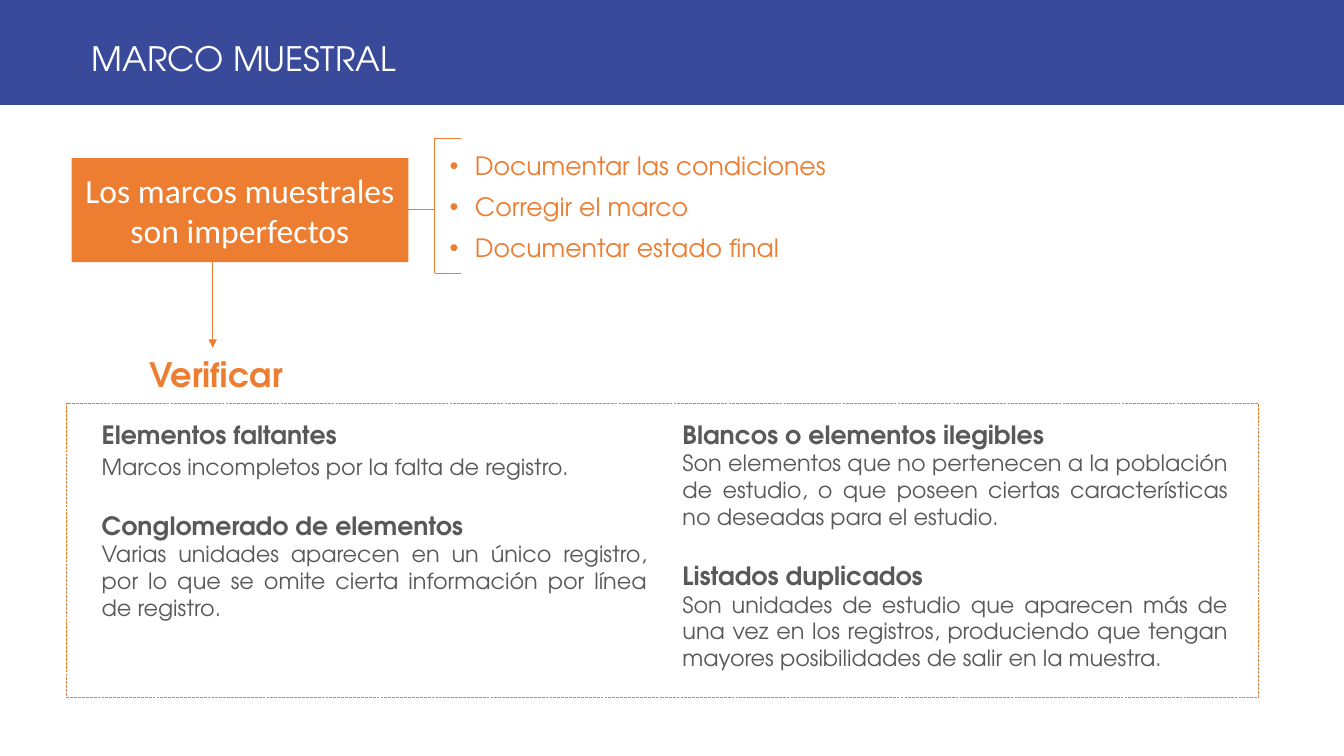
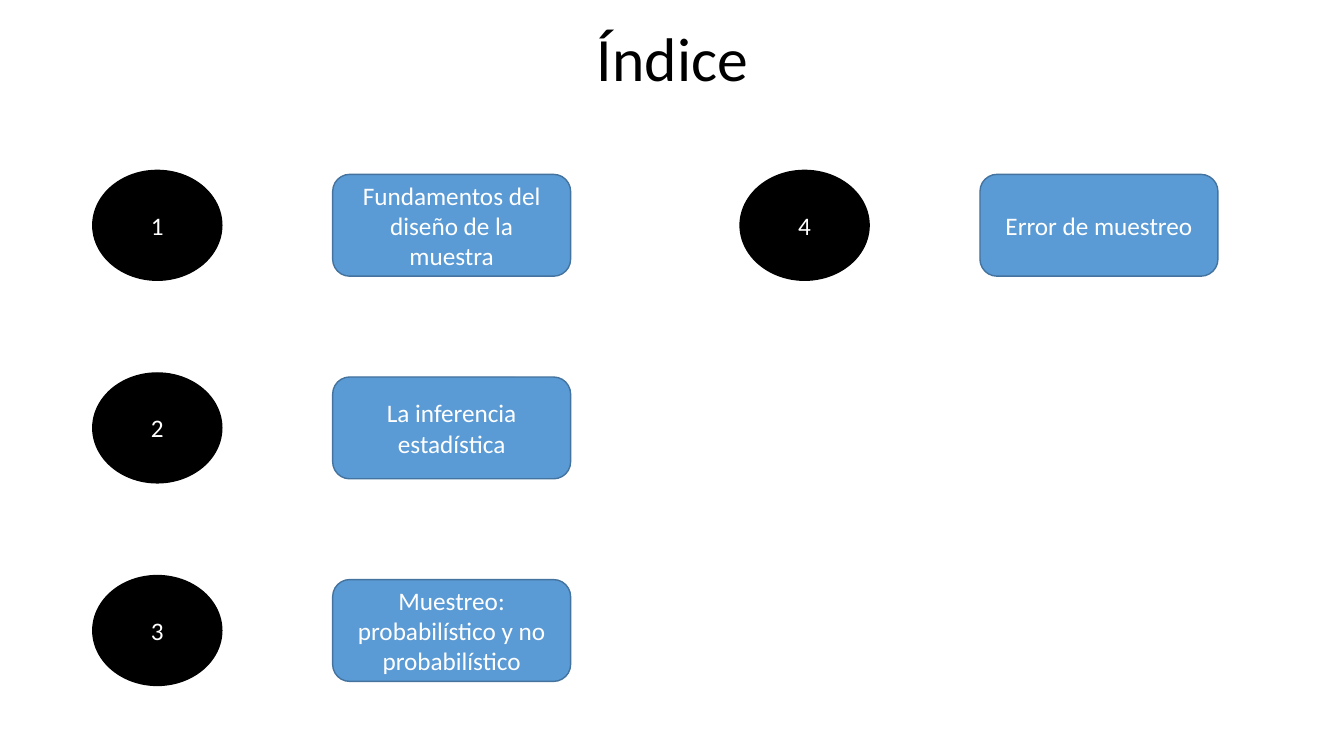
from dataclasses import dataclass
from typing import Optional

from lxml.etree import SubElement
from pptx import Presentation
from pptx.dml.color import RGBColor
from pptx.enum.dml import MSO_LINE
from pptx.enum.shapes import MSO_CONNECTOR, MSO_SHAPE
from pptx.enum.text import MSO_ANCHOR, MSO_AUTO_SIZE, PP_ALIGN
from pptx.oxml.ns import qn
from pptx.shapes.autoshape import Shape
from pptx.slide import Slide
from pptx.text.text import _Paragraph as Paragraph
from pptx.util import Emu, Pt

EMU_PER_PX = 9144
BLUE = RGBColor(0x39, 0x4A, 0x9A)
ORANGE = RGBColor(0xED, 0x7D, 0x31)
GRAY = RGBColor(0x59, 0x59, 0x59)
SKY = RGBColor(0x5B, 0x9B, 0xD5)
SKY_EDGE = RGBColor(0x43, 0x73, 0x9E)
BLACK = RGBColor(0, 0, 0)
WHITE = RGBColor(255, 255, 255)
SANS = "Calibri"
GEOMETRIC = "TeX Gyre Adventor"


@dataclass(frozen=True)
class Box:
    left: int
    top: int
    width: int
    height: int


@dataclass(frozen=True)
class TextStyle:
    font: str
    size: int
    color: RGBColor
    bold: bool = False
    align: PP_ALIGN = PP_ALIGN.LEFT
    spacing: float = 1.0


@dataclass(frozen=True)
class Outline:
    color: RGBColor
    width: float
    dash: Optional[MSO_LINE] = None


@dataclass(frozen=True)
class Defect:
    heading: str
    detail: str
    lead: float = 0


@dataclass(frozen=True)
class Segment:
    start: tuple[int, int]
    end: tuple[int, int]
    arrow: bool = False


BAND_TITLE = TextStyle(GEOMETRIC, 24, WHITE)
PLAIN_TITLE = TextStyle(SANS, 44, BLACK, align=PP_ALIGN.CENTER, spacing=0.9)
ACTION = TextStyle(GEOMETRIC, 18, ORANGE, align=PP_ALIGN.JUSTIFY, spacing=0.9)
HEADING = TextStyle(GEOMETRIC, 18, GRAY, True, PP_ALIGN.JUSTIFY)
DETAIL = TextStyle(GEOMETRIC, 16, GRAY, align=PP_ALIGN.JUSTIFY)
VERIFY = TextStyle(GEOMETRIC, 24, ORANGE, True)
CLAIM = TextStyle(SANS, 24, WHITE, align=PP_ALIGN.CENTER)
LABEL = TextStyle(SANS, 18, WHITE, align=PP_ALIGN.CENTER)

ACTIONS = ["Documentar las condiciones", "Corregir el marco", "Documentar estado final"]
DEFECT_COLUMNS = [
    (Box(91, 411, 561, 212), [
        Defect("Elementos faltantes", "Marcos incompletos por la falta de registro.", 2.4),
        Defect("Conglomerado de elementos",
               "Varias unidades aparecen en un único registro, por lo que se omite "
               "cierta información por línea de registro."),
    ]),
    (Box(667, 411, 561, 263), [
        Defect("Blancos o elementos ilegibles",
               "Son elementos que no pertenecen a la población de estudio, o que poseen "
               "ciertas características no deseadas para el estudio."),
        Defect("Listados duplicados",
               "Son unidades de estudio que aparecen más de una vez en los registros, "
               "produciendo que tengan mayores posibilidades de salir en la muestra."),
    ]),
]
SEGMENTS = [
    Segment((405, 208), (431, 208)),
    Segment((431, 137), (457, 137)),
    Segment((431, 271), (457, 271)),
    Segment((431, 137), (431, 271)),
    Segment((211, 260), (211, 345), True),
]
TOPICS = [
    "Fundamentos del diseño de la muestra",
    "La inferencia estadística",
    "Muestreo: probabilístico y no probabilístico",
    "Error de muestreo",
]
TOPIC_ROWS = 3
TOPIC_ROW_STEP = 201
TOPIC_COLUMN_STEP = 642


def px(length: int) -> Emu:
    return Emu(length * EMU_PER_PX)


def edges(box: Box) -> tuple[Emu, Emu, Emu, Emu]:
    return px(box.left), px(box.top), px(box.width), px(box.height)


def place(shape: Shape, box: Box) -> None:
    shape.left, shape.top, shape.width, shape.height = edges(box)


def write(paragraph: Paragraph, text: str, style: TextStyle, before: float = 0) -> None:
    paragraph.text = text
    paragraph.alignment = style.align
    paragraph.line_spacing = style.spacing
    paragraph.space_before = Pt(before)
    font = paragraph.font
    font.name = style.font
    font.size = Pt(style.size)
    font.bold = style.bold
    font.color.rgb = style.color


def next_paragraph(shape: Shape, index: int) -> Paragraph:
    frame = shape.text_frame
    return frame.add_paragraph() if index else frame.paragraphs[0]


def set_title(slide: Slide, text: str, box: Box, style: TextStyle) -> Shape:
    title = slide.shapes.title
    place(title, box)
    title.text_frame.auto_size = MSO_AUTO_SIZE.NONE
    title.text_frame.vertical_anchor = MSO_ANCHOR.MIDDLE
    write(title.text_frame.paragraphs[0], text, style)
    return title


def add_text_box(slide: Slide, box: Box) -> Shape:
    shape = slide.shapes.add_textbox(*edges(box))
    shape.text_frame.word_wrap = True
    return shape


def add_box(slide: Slide, kind: MSO_SHAPE, box: Box, fill: Optional[RGBColor] = None,
            outline: Optional[Outline] = None, text: str = "",
            style: TextStyle = LABEL) -> None:
    shape = slide.shapes.add_shape(kind, *edges(box))
    shape.shadow.inherit = False
    if fill is None:
        shape.fill.background()
    else:
        shape.fill.solid()
        shape.fill.fore_color.rgb = fill
    if outline is None:
        shape.line.fill.background()
    else:
        shape.line.color.rgb = outline.color
        shape.line.width = Pt(outline.width)
        if outline.dash is not None:
            shape.line.dash_style = outline.dash
    if text:
        shape.text_frame.vertical_anchor = MSO_ANCHOR.MIDDLE
        write(shape.text_frame.paragraphs[0], text, style)


def add_segment(slide: Slide, segment: Segment) -> None:
    connector = slide.shapes.add_connector(
        MSO_CONNECTOR.STRAIGHT, *map(px, segment.start + segment.end))
    connector.line.color.rgb = ORANGE
    connector.line.width = Pt(0.5)
    properties = connector._element.spPr
    if segment.arrow:
        SubElement(properties.find(qn("a:ln")), qn("a:tailEnd"), type="triangle")
    SubElement(properties, qn("a:effectLst"))


def add_actions(slide: Slide) -> None:
    body = slide.placeholders[1]
    place(body, Box(436, 147, 506, 117))
    body.text_frame.auto_size = MSO_AUTO_SIZE.NONE
    for index, action in enumerate(ACTIONS):
        paragraph = next_paragraph(body, index)
        properties = paragraph._p.get_or_add_pPr()
        properties.set("marL", str(px(25)))
        properties.set("indent", str(px(-25)))
        SubElement(properties, qn("a:buChar"), char="•")
        write(paragraph, action, ACTION, 10 if index else 0)


def add_defects(slide: Slide, box: Box, defects: list[Defect]) -> None:
    shape = add_text_box(slide, box)
    for index, defect in enumerate(defects):
        write(next_paragraph(shape, index), defect.heading, HEADING, 21.7 if index else 0)
        write(shape.text_frame.add_paragraph(), defect.detail, DETAIL, defect.lead)


def build_frame_slide(presentation: Presentation) -> None:
    slide = presentation.slides.add_slide(presentation.slide_layouts[1])
    title = set_title(slide, "MARCO MUESTRAL", Box(0, 0, 1333, 104), BAND_TITLE)
    title.fill.solid()
    title.fill.fore_color.rgb = BLUE
    title.text_frame.margin_left = px(91)
    title.text_frame.margin_top = px(16)
    add_actions(slide)
    for box, defects in DEFECT_COLUMNS:
        add_defects(slide, box, defects)
    add_box(slide, MSO_SHAPE.RECTANGLE, Box(71, 157, 334, 103), ORANGE,
            text="Los marcos muestrales son imperfectos", style=CLAIM)
    for segment in SEGMENTS:
        add_segment(slide, segment)
    verify = add_text_box(slide, Box(138, 346, 166, 50))
    write(verify.text_frame.paragraphs[0], "Verificar", VERIFY)
    add_box(slide, MSO_SHAPE.RECTANGLE, Box(66, 400, 1182, 292),
            outline=Outline(ORANGE, 0.25, MSO_LINE.LONG_DASH))


def build_index_slide(presentation: Presentation) -> None:
    slide = presentation.slides.add_slide(presentation.slide_layouts[5])
    set_title(slide, "Índice", Box(92, 17, 1150, 89), PLAIN_TITLE)
    for index, topic in enumerate(TOPICS):
        column, row = divmod(index, TOPIC_ROWS)
        left = 92 + column * TOPIC_COLUMN_STEP
        top = 169 + row * TOPIC_ROW_STEP
        add_box(slide, MSO_SHAPE.OVAL, Box(left, top, 128, 109), BLACK,
                Outline(BLACK, 1), str(index + 1))
        add_box(slide, MSO_SHAPE.ROUNDED_RECTANGLE, Box(left + 238, top + 4, 236, 101),
                SKY, Outline(SKY_EDGE, 1), topic)


def main() -> None:
    presentation = Presentation()
    presentation.slide_width = px(1333)
    presentation.slide_height = px(750)
    build_frame_slide(presentation)
    build_index_slide(presentation)
    presentation.save("out.pptx")


if __name__ == "__main__":
    main()
